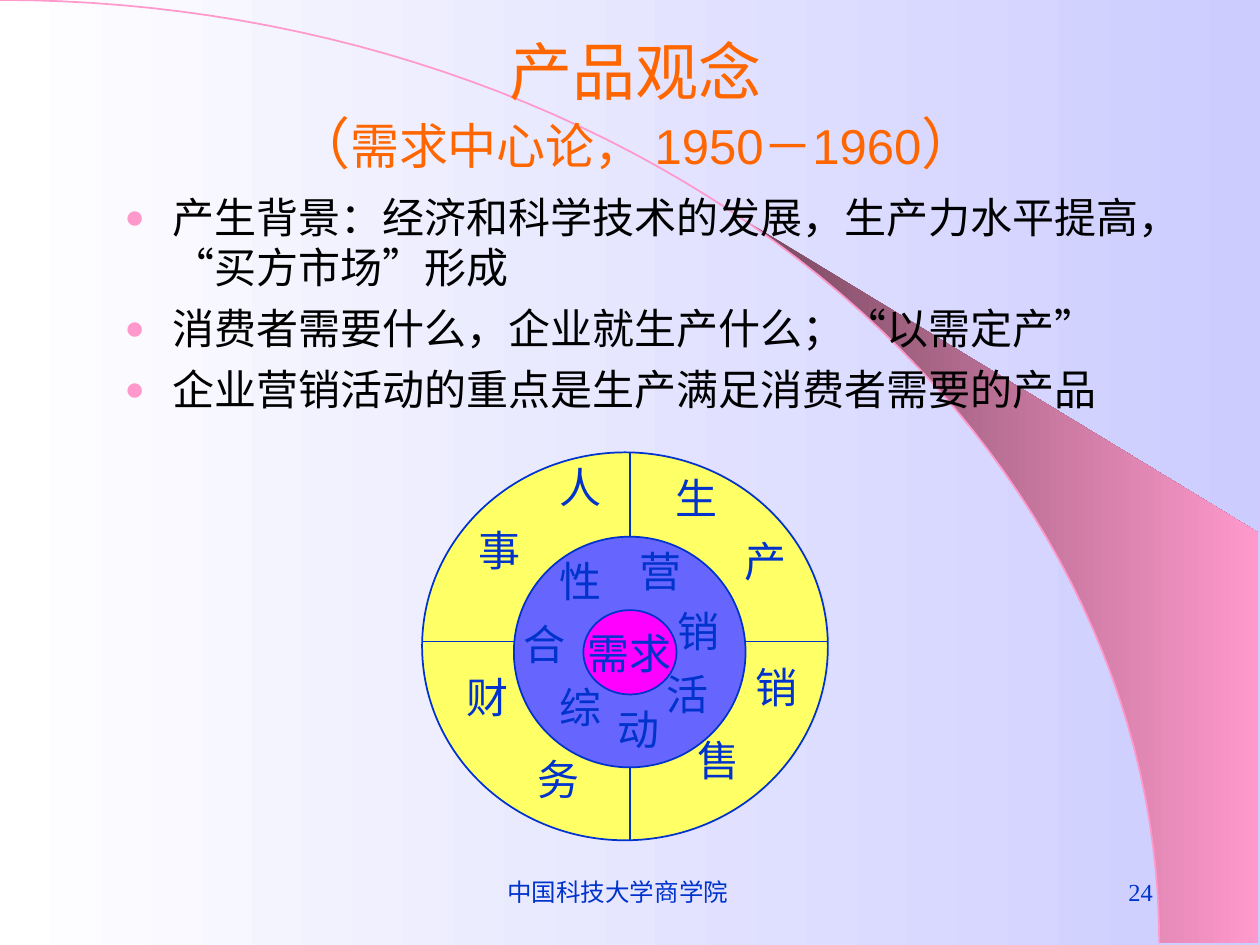
from math import asin, cos, pi, sin

from lxml import etree
from pptx import Presentation
from pptx.dml.color import RGBColor
from pptx.enum.shapes import MSO_CONNECTOR, MSO_SHAPE
from pptx.enum.text import MSO_ANCHOR, MSO_AUTO_SIZE, PP_ALIGN
from pptx.oxml.ns import qn
from pptx.util import Cm, Pt

STRAIGHT = MSO_CONNECTOR.STRAIGHT
OVAL = MSO_SHAPE.OVAL
MIDDLE = MSO_ANCHOR.MIDDLE
TOP = MSO_ANCHOR.TOP
NO_AUTOFIT = MSO_AUTO_SIZE.NONE
LEFT, CENTER, RIGHT = PP_ALIGN.LEFT, PP_ALIGN.CENTER, PP_ALIGN.RIGHT

COLORS = {
    "white": "FFFFFF", "lavender": "CCCCFF", "plum": "76475E", "pink": "FF99CC",
    "orange": "FF6600", "black": "000000", "blue": "0033CC",
    "yellow": "FFFF66", "violet": "6666FF", "magenta": "FF00FF",
}
SERIF, SANS = "Times New Roman", "Arial"

TITLE = [("产品观念", 36), ("（", 32), ("需求中心论， 1950－1960", 28), ("）", 32)]
POINTS = [
    "产生背景：经济和科学技术的发展，生产力水平提高，“买方市场”形成",
    "消费者需要什么，企业就生产什么；“以需定产”",
    "企业营销活动的重点是生产满足消费者需要的产品",
]
DISCS = [
    ("yellow", (0, 0, 8.18, 7.82)),
    ("violet", (1.85, 1.7, 4.67, 4.65)),
    ("magenta", (3.25, 3.18, 1.88, 1.7)),
]
HUB = (4.19, 3.81)
LETTERS = [
    ("综", 2.51, 4.5), ("合", 1.8, 3.23), ("性", 2.51, 1.96), ("营", 4.14, 1.75),
    ("销", 4.9, 2.97), ("活", 4.67, 4.24), ("动", 3.68, 4.93),
    ("生", 4.85, 0.28), ("产", 6.25, 1.55), ("销", 6.48, 4.09), ("售", 5.31, 5.56),
    ("人", 2.51, 0.05), ("事", 0.89, 1.32), ("财", 0.64, 4.29), ("务", 2.08, 5.94),
]


def color(name):
    return RGBColor.from_string(COLORS[name])


def set_gradient(fill, start, end):
    fill.gradient()
    fill.gradient_angle = 0
    for stop, name, position in zip(fill.gradient_stops, (start, end), (0, 1)):
        stop.color.rgb = color(name)
        stop.position = position


def set_line(line, name):
    line.color.rgb = color(name)
    line.width = Pt(1)


def set_font(font, size, name, face=SERIF):
    font.size = Pt(size)
    font.name = face
    font.color.rgb = color(name)


def place(shape, box):
    shape.left, shape.top, shape.width, shape.height = map(Cm, box)


def write(frame, text, size, align, anchor=TOP, wrap=False):
    frame.word_wrap = wrap
    frame.vertical_anchor = anchor
    paragraph = frame.paragraphs[0]
    paragraph.text = text
    paragraph.alignment = align
    set_font(paragraph.font, size, "blue")


def add_text(shapes, box, text, size, align, anchor=TOP, wrap=False):
    text_box = shapes.add_textbox(*map(Cm, box))
    write(text_box.text_frame, text, size, align, anchor, wrap)


def add_outline(slide, points, close):
    points = [(Cm(x), Cm(y)) for x, y in points]
    builder = slide.shapes.build_freeform(*points[0])
    builder.add_line_segments(points[1:], close=close)
    shape = builder.convert_to_shape()
    shape.shadow.inherit = False
    return shape


def add_swoosh(slide, box):
    left, top, width, height = box
    radius = 23.37

    def arc(start, steps=60):
        angles = [start + (pi / 2 - start) * i / steps for i in range(steps + 1)]
        return [(left + radius * sin(a), top + height * (1 - cos(a))) for a in angles]

    right = left + width
    corners = [(right, top + height), (right, top + 10.74)]
    wedge = add_outline(slide, arc(asin(14.96 / radius)) + corners, True)
    set_gradient(wedge.fill, "plum", "pink")
    wedge.line.fill.background()
    curve = add_outline(slide, arc(0), False)
    curve.fill.background()
    set_line(curve.line, "pink")


def fill_title(slide, box):
    title = slide.shapes.title
    slide.shapes.element.append(title.element)
    place(title, box)
    frame = title.text_frame
    frame.auto_size = NO_AUTOFIT
    frame.vertical_anchor = MIDDLE
    paragraph = frame.paragraphs[0]
    paragraph.alignment = CENTER
    set_font(paragraph.font, 36, "orange", SANS)
    for index, (text, size) in enumerate(TITLE):
        if index == 1:
            paragraph.add_line_break()
        run = paragraph.add_run()
        run.text = text
        run.font.size = Pt(size)


def set_bullet(paragraph):
    properties = paragraph._p.get_or_add_pPr()
    properties.set("marL", str(Cm(0.97)))
    properties.set("indent", str(-Cm(0.97)))
    bullet_color = etree.SubElement(properties, qn("a:buClr"))
    etree.SubElement(bullet_color, qn("a:srgbClr"), val=COLORS["pink"])
    etree.SubElement(properties, qn("a:buSzPct"), val="80000")
    etree.SubElement(properties, qn("a:buChar"), char="●")


def fill_body(slide, box):
    body = slide.placeholders[1]
    slide.shapes.element.append(body.element)
    place(body, box)
    frame = body.text_frame
    frame.auto_size = NO_AUTOFIT
    frame.text = "\n".join(POINTS)
    for index, paragraph in enumerate(frame.paragraphs):
        set_bullet(paragraph)
        paragraph.space_before = Pt(6 if index else 0)
        set_font(paragraph.font, 24, "black")


def add_spoke(shapes, start, end):
    spoke = shapes.add_connector(STRAIGHT, *map(Cm, start + end))
    set_line(spoke.line, "blue")
    etree.SubElement(spoke._element.spPr, qn("a:effectLst"))


def add_wheel(slide, left, top):
    shapes = slide.shapes.add_group_shape().shapes
    for name, (x, y, width, height) in DISCS:
        disc = shapes.add_shape(OVAL, Cm(left + x), Cm(top + y), Cm(width), Cm(height))
        disc.shadow.inherit = False
        disc.fill.solid()
        disc.fill.fore_color.rgb = color(name)
        set_line(disc.line, "blue")
    write(disc.text_frame, "需求", 24, CENTER, MIDDLE)

    (_, (_, _, width, height)), (_, (x, y, inner_width, inner_height)) = DISCS[:2]
    hub_x, hub_y = left + HUB[0], top + HUB[1]
    for start, end in ((0, x), (x + inner_width, width)):
        add_spoke(shapes, (left + start, hub_y), (left + end, hub_y))
    for start, end in ((0, y), (y + inner_height, height)):
        add_spoke(shapes, (hub_x, top + start), (hub_x, top + end))
    for letter, x, y in LETTERS:
        add_text(shapes, (left + x, top + y, 1.35, 1.27), letter, 24, LEFT)


def add_footer(slide, top, height):
    add_text(slide.shapes, (8.43, top, 8.05, height), "中国科技大学商学院", 14, CENTER, MIDDLE, True)
    add_text(slide.shapes, (18.21, top, 5.28, height), "24", 14, RIGHT, MIDDLE, True)


def main():
    presentation = Presentation()
    presentation.slide_width, presentation.slide_height = Cm(25.4), Cm(19.05)
    slide = presentation.slides.add_slide(presentation.slide_layouts[1])
    set_gradient(slide.background.fill, "white", "lavender")
    add_swoosh(slide, (0, 0, 25.37, 19.02))
    add_footer(slide, 17.35, 1.27)
    fill_title(slide, (2.11, 0.71, 21.41, 2.79))
    fill_body(slide, (2.26, 3.73, 22.1, 5.08))
    add_wheel(slide, 8.51, 9.12)
    presentation.save("out.pptx")


if __name__ == "__main__":
    main()
